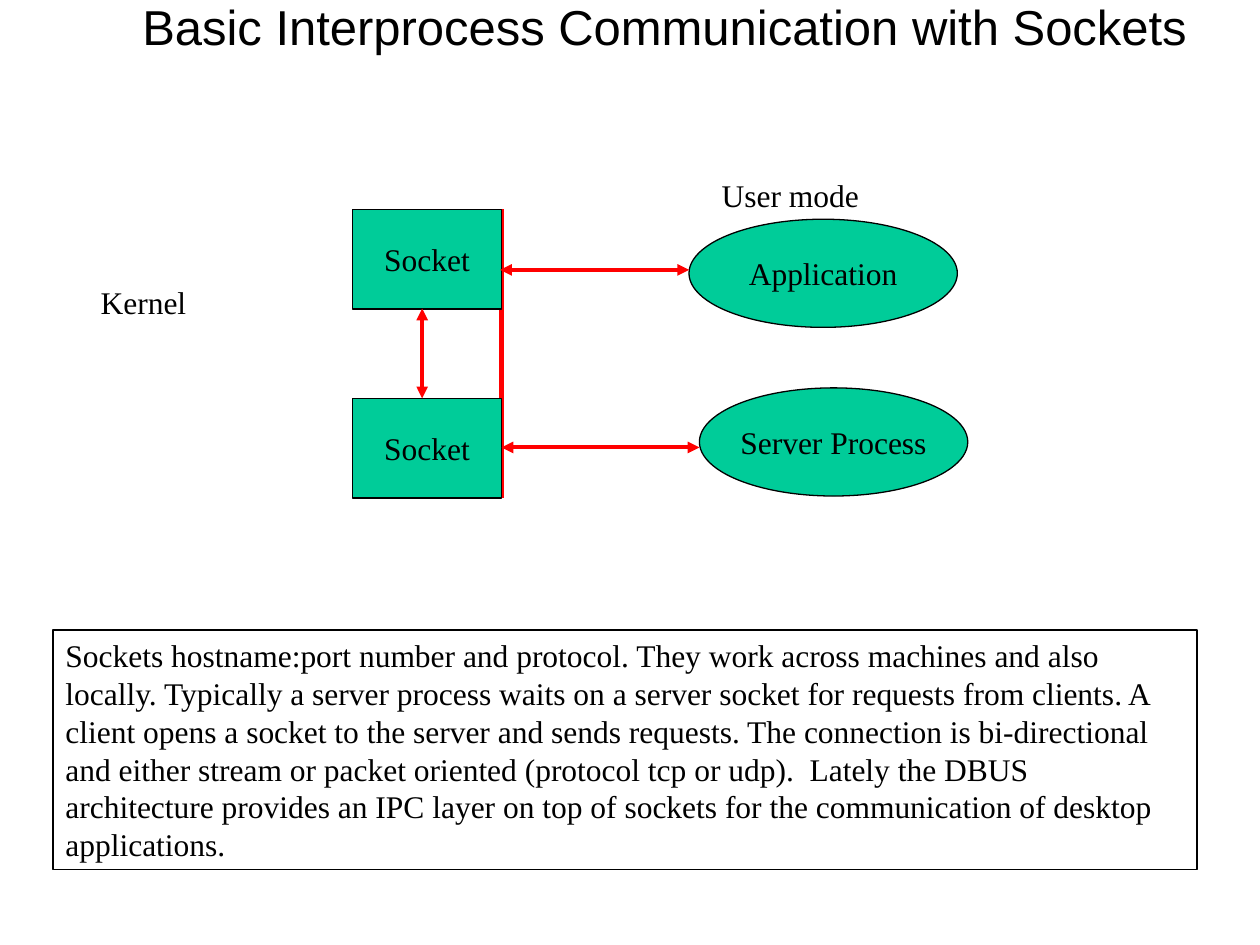
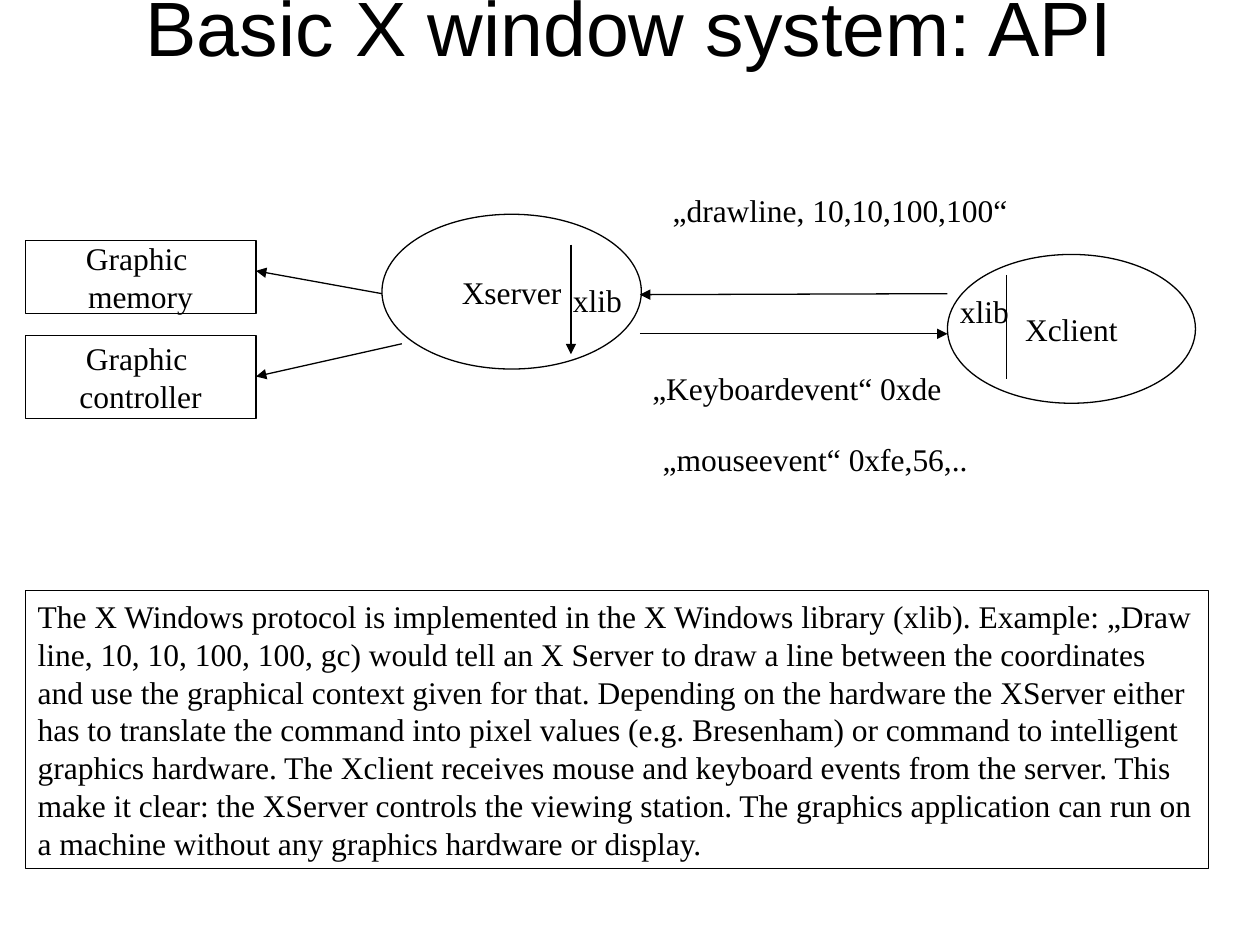
"""Builds two slides on sockets and the X window system."""
from lxml import etree
from pptx import Presentation
from pptx.dml.color import RGBColor as Rgb
from pptx.enum.shapes import MSO_CONNECTOR as Wire, MSO_SHAPE as Kind
from pptx.enum.text import MSO_ANCHOR as Anchor, PP_ALIGN as Align
from pptx.oxml.ns import qn
from pptx.util import Cm, Pt

HUES = {"ink": "000000", "green": "00CC99", "red": "FF0000"}
BOX, OVAL = Kind.RECTANGLE, Kind.OVAL
LABEL_H = 1.02

SLIDES = [
    {
        "title": ("Basic Interprocess Communication with Sockets", 28, 22.99),
        "fill": "green",
        "wire": ("red", 2.25),
        "walls": [((10.11, 4.22), (10.11, 10.03), "red", 3)],
        "nodes": [
            (BOX, "Socket", (7.11, 4.22, 3, 2.01)),
            (BOX, "Socket", (7.11, 8.03, 3, 2.01)),
            (OVAL, "Application", (13.89, 4.42, 5.41, 2.18)),
            (OVAL, "Server Process", (14.1, 7.82, 5.41, 2.18)),
        ],
        "ends": ("headEnd", "tailEnd"),
        "arrows": [
            ((13.89, 5.44), (10.08, 5.44)),
            ((8.51, 6.22), (8.51, 8.03)),
            ((10.11, 9.02), (14.1, 9.02)),
        ],
        "labels": [("Kernel", 1.78, 5.59, 3.78), ("User mode", 14.3, 3.43, 3.58)],
        "note": (
            "Sockets hostname:port number and protocol. They work across machines "
            "and also locally. Typically a server process waits on a server socket "
            "for requests from clients. A client opens a socket to the server and "
            "sends requests. The connection is bi-directional and either stream or "
            "packet oriented (protocol tcp or udp).  Lately the DBUS architecture "
            "provides an IPC layer on top of sockets for the communication of "
            "desktop applications.",
            (1.07, 12.7, 23.06, 4.83),
        ),
    },
    {
        "title": ("Basic X window system: API", 44, 21.59),
        "fill": None,
        "wire": ("ink", 0.75),
        "walls": [((20.29, 5.54), (20.29, 7.65), "ink", 0.75)],
        "nodes": [
            (BOX, "Graphic \nmemory", (0.51, 4.85, 4.65, 1.47)),
            (BOX, "Graphic \ncontroller", (0.51, 6.76, 4.65, 1.68)),
            (OVAL, "Xserver", (7.7, 4.32, 5.23, 3.12)),
            (OVAL, "Xclient", (19.1, 5.13, 5, 3)),
        ],
        "ends": ("tailEnd",),
        "arrows": [
            ((8.1, 6.93), (5.16, 7.59)),
            ((7.7, 5.92), (5.16, 5.46)),
            ((11.51, 4.93), (11.51, 7.14)),
            ((19.1, 5.92), (12.9, 5.94)),
            ((12.9, 6.73), (19.1, 6.73)),
        ],
        "labels": [
            ("xlib", 19.1, 5.77, 1.6),
            ("xlib", 11.3, 5.54, 1.6),
            ("„drawline, 10,10,100,100“", 13.31, 3.73, 8.79),
            ("„Keyboardevent“ 0xde", 12.9, 7.32, 6.4),
            ("„mouseevent“ 0xfe,56,..", 13.11, 8.74, 8.41),
        ],
        "note": (
            "The X Windows protocol is implemented in the X Windows library (xlib). "
            "Example: „Draw line, 10, 10, 100, 100, gc) would tell an X Server to "
            "draw a line between the coordinates and use the graphical context "
            "given for that. Depending on the hardware the XServer either has to "
            "translate the command into pixel values (e.g. Bresenham) or command to "
            "intelligent graphics hardware. The Xclient receives mouse and keyboard "
            "events from the server. This make it clear: the XServer controls the "
            "viewing station. The graphics application can run on a machine without "
            "any graphics hardware or display.",
            (0.51, 11.91, 23.85, 5.6),
        ),
    },
]


def hue(name):
    return Rgb.from_string(HUES[name])


def write(shape, text, size=18, font="Times New Roman", mid=False, wrap=True, gap=0):
    frame = shape.text_frame
    frame.word_wrap = wrap
    frame.vertical_anchor = Anchor.MIDDLE if mid else Anchor.TOP
    frame.text = text
    for para in frame.paragraphs:
        para.alignment = Align.CENTER if mid else Align.LEFT
        para.space_before = Pt(gap)
        para.font.size, para.font.name = Pt(size), font
        para.font.color.rgb = hue("ink")


def stroke(shape, tint="ink", width=0.75):
    shape.line.color.rgb = hue(tint)
    shape.line.width = Pt(width)


def area(slide, spot):
    return slide.shapes.add_textbox(*map(Cm, spot))


def node(slide, kind, text, spot, fill):
    shape = slide.shapes.add_shape(kind, *map(Cm, spot))
    shape.shadow.inherit = False
    if fill:
        shape.fill.solid()
        shape.fill.fore_color.rgb = hue(fill)
    else:
        shape.fill.background()
    stroke(shape)
    write(shape, text, mid=True, wrap=False)


def link(slide, start, end, tint, width, ends=()):
    wire = slide.shapes.add_connector(Wire.STRAIGHT, *map(Cm, start + end))
    stroke(wire, tint, width)
    props = wire.line._get_or_add_ln()
    for tag in ends:
        etree.SubElement(props, qn(f"a:{tag}"), type="triangle")
    etree.SubElement(wire._element.spPr, qn("a:effectLst"))


def draw(slide, page):
    title, size, width = page["title"]
    write(area(slide, (1.9, 0, width, 1.04)), title, size=size, font="Arial", mid=True)
    for wall in page["walls"]:
        link(slide, *wall)
    for item in page["nodes"]:
        node(slide, *item, page["fill"])
    for start, end in page["arrows"]:
        link(slide, start, end, *page["wire"], page["ends"])
    for text, left, top, wide in page["labels"]:
        write(area(slide, (left, top, wide, LABEL_H)), text, gap=11.2)
    text, spot = page["note"]
    note = area(slide, spot)
    stroke(note)
    write(note, text, gap=11.2)


def main():
    deck = Presentation()
    deck.slide_width, deck.slide_height = Cm(25.4), Cm(19.05)
    for page in SLIDES:
        draw(deck.slides.add_slide(deck.slide_layouts[6]), page)
    deck.save("out.pptx")


if __name__ == "__main__":
    main()
